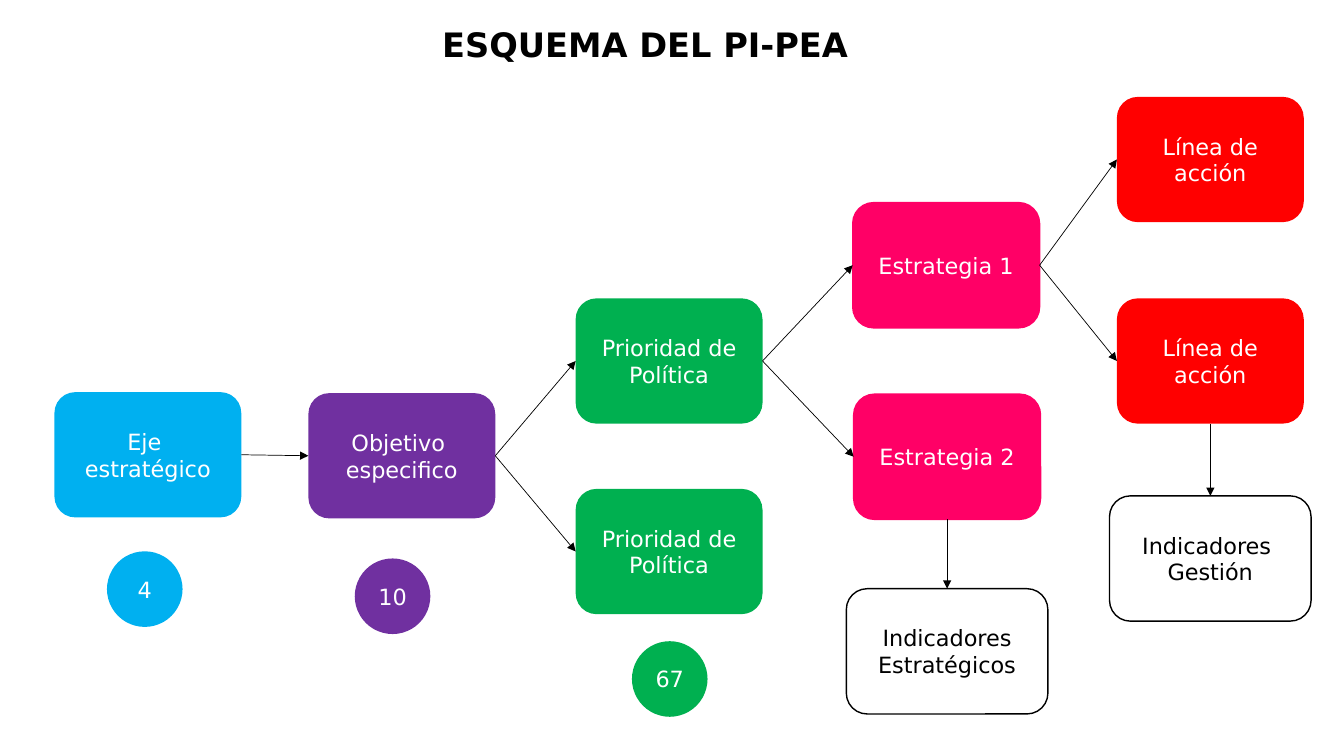
from pptx import Presentation
from pptx.dml.color import RGBColor
from pptx.enum import shapes, text
from pptx.oxml import xmlchemy
from pptx.util import Pt
from lxml import etree
from pptx.oxml.ns import qn

BLUE = RGBColor(0x00, 0xB0, 0xF0)
PURPLE = RGBColor(0x70, 0x30, 0xA0)
GREEN = RGBColor(0x00, 0xB0, 0x50)
PINK = RGBColor(0xFF, 0x00, 0x66)
RED = RGBColor(0xFF, 0x00, 0x00)
WHITE = RGBColor(0xFF, 0xFF, 0xFF)
BLACK = RGBColor(0x00, 0x00, 0x00)
FONT = "DejaVu Sans"

TITLE = "ESQUEMA DEL PI-PEA"
BOX_W, BOX_H, INDICATOR_W, CIRCLE = 133.5, 89.5, 144, 54
TOP, LEFT, BOTTOM, RIGHT = range(4)

BOXES = {
    "eje": ("Eje \nestratégico", 38.9, 280.1, BLUE, None),
    "objetivo": ("Objetivo \nespecifico", 220.3, 280.8, PURPLE, None),
    "prioridad 1": ("Prioridad de Política", 411.2, 213.1, GREEN, None),
    "prioridad 2": ("Prioridad de Política", 411.2, 349.2, GREEN, None),
    "estrategia 1": ("Estrategia 1", 609.1, 144.7, PINK, PINK),
    "estrategia 2": ("Estrategia 2", 609.8, 281.5, PINK, PINK),
    "línea 1": ("Línea de acción", 797.8, 69.2, RED, None),
    "línea 2": ("Línea de acción", 797.8, 213.1, RED, None),
}
INDICATORS = {
    "estratégicos": ("Indicadores Estratégicos", "estrategia 2", 420.5),
    "gestión": ("Indicadores \nGestión", "línea 2", 354.2),
}
COUNTS = [
    ("4", 76.4, 393.8, BLUE),
    ("10", 253.4, 398.9, PURPLE),
    ("67", 451.4, 458, GREEN),
]
BRANCHES = [
    ("eje", "objetivo"),
    ("objetivo", "prioridad 1"),
    ("objetivo", "prioridad 2"),
    ("prioridad 1", "estrategia 1"),
    ("prioridad 1", "estrategia 2"),
    ("estrategia 1", "línea 1"),
    ("estrategia 1", "línea 2"),
]


def style_text(tf, size, color, bold=False):
    for p in tf.paragraphs:
        p.alignment = text.PP_ALIGN.CENTER
        for r in p.runs:
            r.font.name = FONT
            r.font.size = Pt(size)
            r.font.bold = bold
            r.font.color.rgb = color


def add_node(s, kind, label, x, y, w, h, fill, line=None, color=WHITE):
    sp = s.shapes.add_shape(kind, Pt(x), Pt(y), Pt(w), Pt(h))
    sp.shadow.inherit = False
    sp.fill.solid()
    sp.fill.fore_color.rgb = fill
    if line is None:
        sp.line.fill.background()
    else:
        sp.line.color.rgb = line
        sp.line.width = Pt(1)
    tf = sp.text_frame
    tf.word_wrap = True
    tf.vertical_anchor = text.MSO_ANCHOR.MIDDLE
    tf.text = label
    style_text(tf, 16, color)
    return sp


def add_arrow(s, start, start_side, end, end_side):
    c = s.shapes.add_connector(shapes.MSO_CONNECTOR.STRAIGHT, 0, 0, 0, 0)
    c.begin_connect(start, start_side)
    c.end_connect(end, end_side)
    c.line.color.rgb = BLACK
    c.line.width = Pt(0.5)
    etree.SubElement(c.line._get_or_add_ln(), qn("a:tailEnd"), type="triangle")
    etree.SubElement(c._element.spPr, qn("a:effectLst"))


def main():
    prs = Presentation()
    prs.slide_width, prs.slide_height = Pt(960), Pt(540)
    s = prs.slides.add_slide(prs.slide_layouts[5])

    title = s.shapes.title
    title.left, title.top, title.width, title.height = Pt(305.3), Pt(13.7), Pt(311), Pt(36)
    tf = title.text_frame
    tf.text = TITLE
    tf.word_wrap = False
    tf.vertical_anchor = text.MSO_ANCHOR.TOP
    style_text(tf, 24, BLACK, True)

    rounded = shapes.MSO_SHAPE.ROUNDED_RECTANGLE
    nodes = {}
    for name, (label, x, y, fill, line) in BOXES.items():
        nodes[name] = add_node(s, rounded, label, x, y, BOX_W, BOX_H, fill, line)
    for start, end in BRANCHES:
        add_arrow(s, nodes[start], RIGHT, nodes[end], LEFT)

    for label, parent, y in INDICATORS.values():
        x = BOXES[parent][1] + (BOX_W - INDICATOR_W) / 2
        sp = add_node(s, rounded, label, x, y, INDICATOR_W, BOX_H, WHITE, BLACK, BLACK)
        add_arrow(s, nodes[parent], BOTTOM, sp, TOP)

    for label, x, y, fill in COUNTS:
        add_node(s, shapes.MSO_SHAPE.FLOWCHART_CONNECTOR, label, x, y, CIRCLE, CIRCLE, fill)

    prs.save("out.pptx")


if __name__ == "__main__":
    main()
